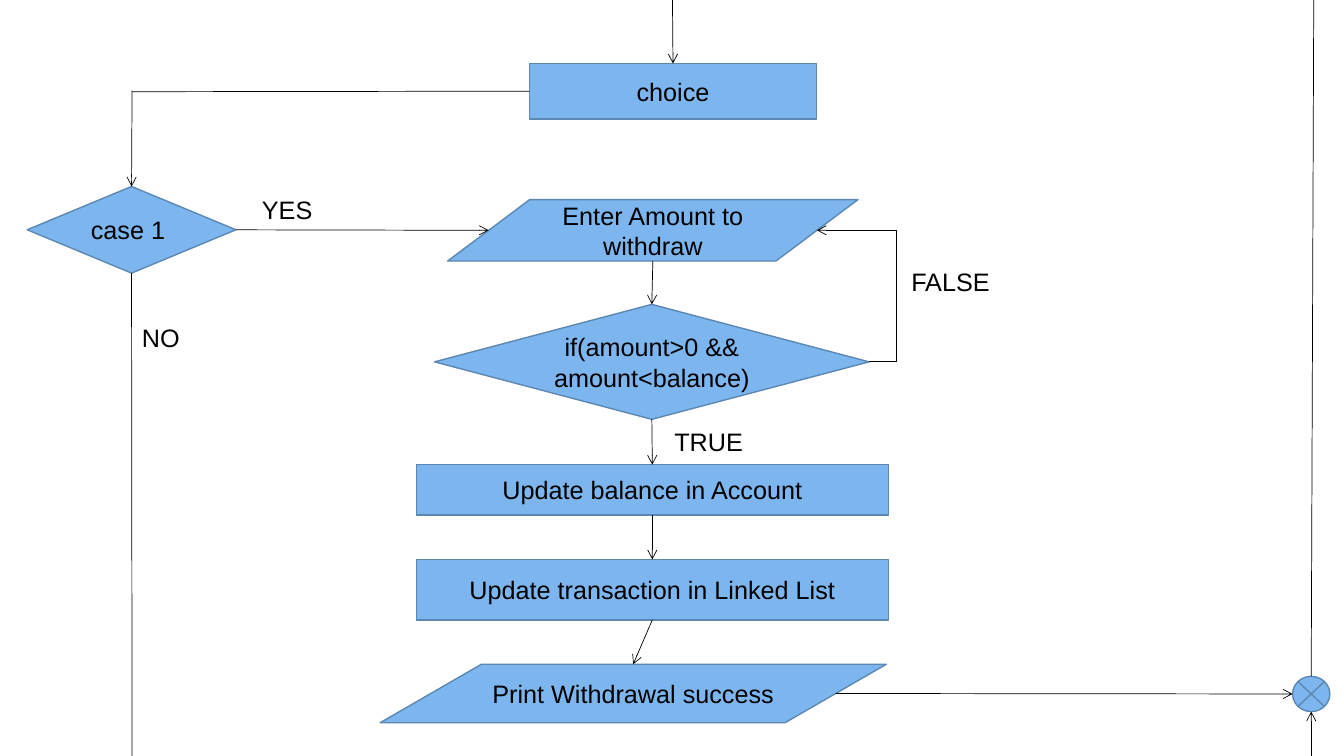
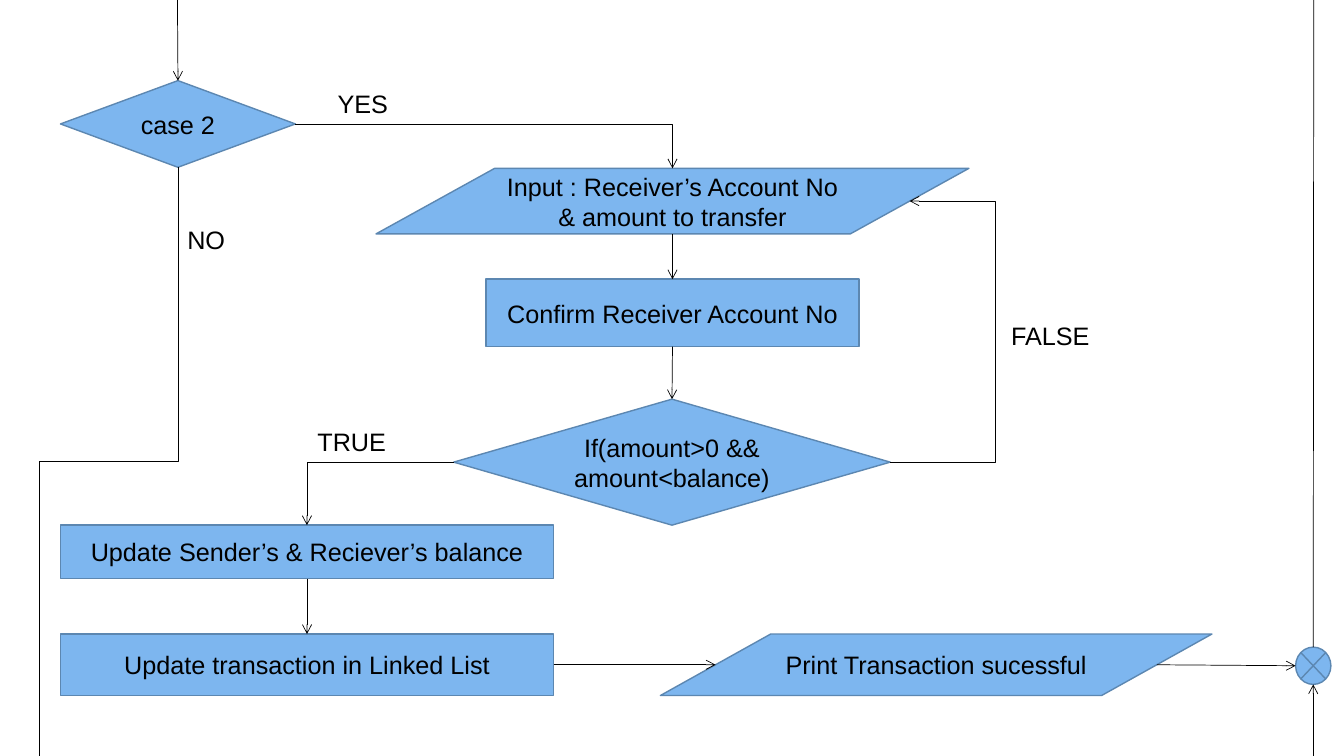
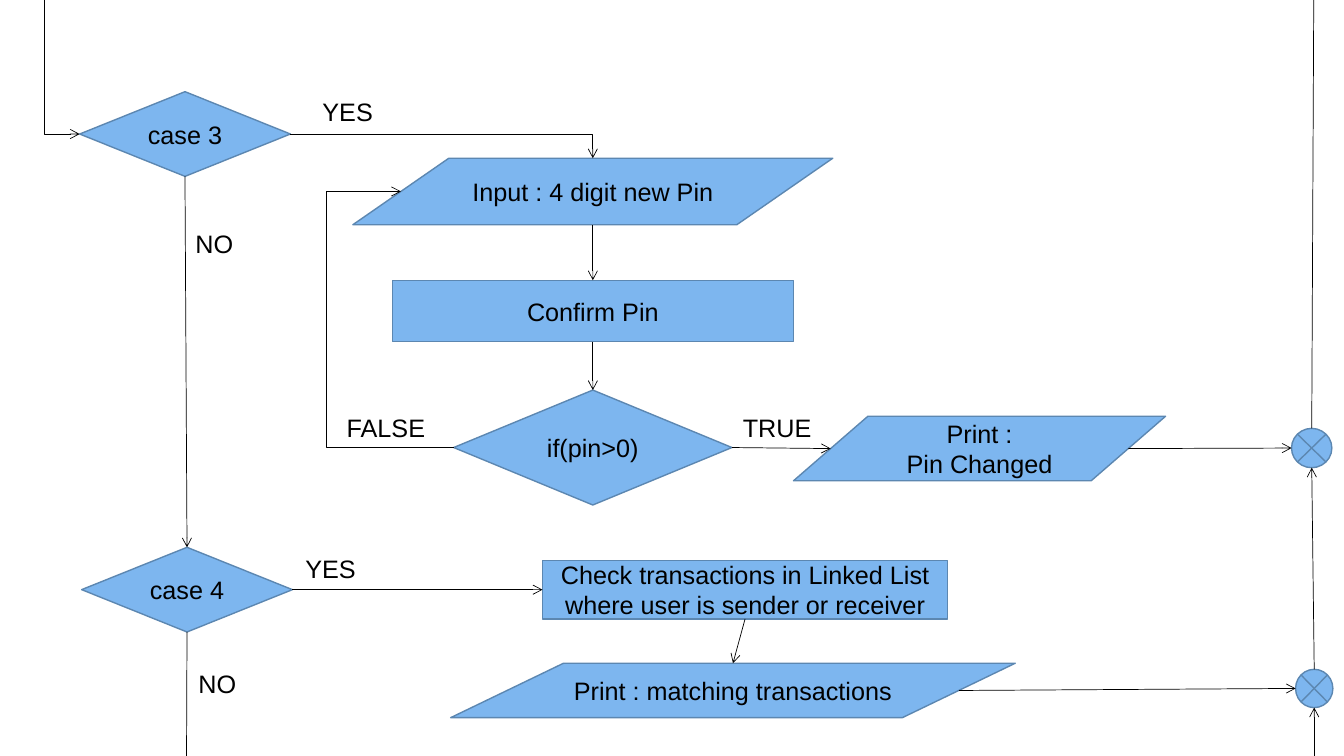
from lxml import etree
from pptx import Presentation
from pptx.dml import color
from pptx.enum import shapes, text
from pptx.oxml import ns
from pptx.util import Inches, Pt

BLUE = color.RGBColor(0x7D, 0xB6, 0xEF)
EDGE = color.RGBColor(0x5C, 0x87, 0xB1)
BLACK = color.RGBColor(0, 0, 0)
KIND = shapes.MSO_SHAPE
STEP = KIND.RECTANGLE
TEST = KIND.FLOWCHART_DECISION
DATA = KIND.FLOWCHART_DATA
JOIN = KIND.FLOWCHART_SUMMING_JUNCTION
WIDTH, HEIGHT = 13.33, 7.5


class Node:
    def __init__(self, kind, left, top, width, height):
        inset = width / 10 if kind == DATA else 0
        midx, midy = left + width / 2, top + height / 2
        self.top = (midx, top)
        self.low = (midx, top + height)
        self.left = (left + inset, midy)
        self.right = (left + width - inset, midy)


class Chart:
    def __init__(self):
        self.deck = Presentation()
        self.deck.slide_width = Inches(WIDTH)
        self.deck.slide_height = Inches(HEIGHT)
        self.slide = None

    def page(self):
        self.slide = self.deck.slides.add_slide(self.deck.slide_layouts[6])

    def letter(self, frame, words, align):
        frame.text = words
        frame.word_wrap = True
        for para in frame.paragraphs:
            para.alignment = align
            for run in para.runs:
                run.font.name = "Arial"
                run.font.size = Pt(18)
                run.font.color.rgb = BLACK

    def node(self, kind, left, top, width, height, words=""):
        shape = self.slide.shapes.add_shape(
            kind, Inches(left), Inches(top), Inches(width), Inches(height))
        shape.shadow.inherit = False
        shape.fill.solid()
        shape.fill.fore_color.rgb = BLUE
        shape.line.color.rgb = EDGE
        shape.line.width = Pt(1)
        if words:
            shape.text_frame.vertical_anchor = text.MSO_ANCHOR.MIDDLE
            self.letter(shape.text_frame, words, text.PP_ALIGN.CENTER)
        return Node(kind, left, top, width, height)

    def label(self, words, left, top, width=1):
        box = self.slide.shapes.add_textbox(
            Inches(left), Inches(top), Inches(width), Inches(0.4))
        self.letter(box.text_frame, words, text.PP_ALIGN.LEFT)
        box.text_frame.auto_size = text.MSO_AUTO_SIZE.SHAPE_TO_FIT_TEXT

    def line(self, start, end, tip=True, kind=shapes.MSO_CONNECTOR.STRAIGHT):
        link = self.slide.shapes.add_connector(
            kind, *(Inches(n) for n in (*start, *end)))
        link.line.color.rgb = BLACK
        link.line.width = Pt(0.5)
        props = link._element.spPr
        if tip:
            tail = etree.SubElement(props.find(ns.qn("a:ln")), ns.qn("a:tailEnd"))
            tail.set("type", "arrow")
        etree.SubElement(props, ns.qn("a:effectLst"))
        return link

    def bend(self, start, end, via=None, down=False, tip=True):
        gapx, gapy = end[0] - start[0], end[1] - start[1]
        first, span = (start[1], gapy) if down else (start[0], gapx)
        if down:
            midx, midy = start[0] + gapx / 2, start[1] + gapy / 2
            start = (midx - gapy / 2, midy + gapx / 2)
            end = (midx + gapy / 2, midy - gapx / 2)
        link = self.line(start, end, tip, shapes.MSO_CONNECTOR.ELBOW)
        props = link._element.spPr
        if down:
            props.find(ns.qn("a:xfrm")).set("rot", "5400000")
        form = props.find(ns.qn("a:prstGeom"))
        if via is None:
            form.set("prst", "bentConnector2")
            return
        guides = form.find(ns.qn("a:avLst"))
        if guides is None:
            guides = etree.SubElement(form, ns.qn("a:avLst"))
        guide = etree.SubElement(guides, ns.qn("a:gd"))
        guide.set("name", "adj1")
        guide.set("fmla", f"val {round((via - first) / span * 100000)}")

    def chain(self, *nodes):
        for upper, lower in zip(nodes, nodes[1:]):
            self.line(upper.low, lower.top)

    def rail(self, *joins):
        self.line(joins[0].top, (13.03, 0), tip=False)
        for upper, lower in zip(joins, joins[1:]):
            self.line(lower.top, upper.low)
        last = joins[-1].low
        self.line((last[0], HEIGHT), last)


def withdraw(chart):
    chart.page()
    choice = chart.node(STEP, 5.25, 0.63, 2.85, 0.55, "choice")
    case = chart.node(TEST, 0.27, 1.85, 2.07, 0.86, "case 1 ")
    ask = chart.node(DATA, 4.44, 1.98, 4.07, 0.61, "Enter Amount to withdraw")
    check = chart.node(TEST, 4.31, 3.02, 4.31, 1.14, "if(amount>0 && amount<balance)")
    funds = chart.node(STEP, 4.13, 4.61, 4.68, 0.5, "Update balance in Account")
    record = chart.node(STEP, 4.13, 5.55, 4.68, 0.6, "Update transaction in Linked List")
    done = chart.node(DATA, 3.77, 6.59, 5.02, 0.58, "Print Withdrawal success")
    join = chart.node(JOIN, 12.82, 6.71, 0.37, 0.35)
    chart.line((6.67, 0), choice.top)
    chart.line((1.31, 0.91), choice.left, tip=False)
    chart.line((1.31, 0.9), case.top)
    chart.line(case.low, (1.31, HEIGHT), tip=False)
    chart.line(case.right, ask.left)
    chart.chain(ask, check, funds, record, done)
    chart.bend(check.right, ask.right, via=8.89)
    chart.line(done.right, join.left)
    chart.rail(join)
    chart.label("YES", 2.5, 1.88)
    chart.label("NO", 1.31, 3.15)
    chart.label("FALSE", 8.94, 2.59)
    chart.label("TRUE", 6.59, 4.18)


def transfer(chart):
    chart.page()
    case = chart.node(TEST, 0.6, 0.8, 2.33, 0.86, "case 2")
    ask = chart.node(DATA, 3.73, 1.67, 5.88, 0.65,
                     "Input : Receiver’s Account No & amount to transfer")
    confirm = chart.node(STEP, 4.82, 2.77, 3.7, 0.67, "Confirm Receiver Account No")
    check = chart.node(TEST, 4.5, 3.96, 4.33, 1.25, "If(amount>0 && amount<balance)")
    funds = chart.node(STEP, 0.6, 5.21, 4.89, 0.53, "Update Sender’s & Reciever’s balance")
    record = chart.node(STEP, 0.6, 6.29, 4.89, 0.61, "Update transaction in Linked List")
    done = chart.node(DATA, 6.55, 6.29, 5.47, 0.61, "Print Transaction sucessful")
    join = chart.node(JOIN, 12.85, 6.42, 0.35, 0.37)
    chart.line((1.76, 0), case.top)
    chart.bend(case.low, (0.39, HEIGHT), via=4.58, down=True, tip=False)
    chart.bend(case.right, ask.top)
    chart.chain(ask, confirm, check)
    chart.bend(check.right, ask.right, via=9.87)
    chart.bend(check.left, funds.top)
    chart.chain(funds, record)
    chart.line(record.right, done.left)
    chart.line(done.right, join.left)
    chart.rail(join)
    chart.label("YES", 3.25, 0.83)
    chart.label("NO", 1.76, 2.18)
    chart.label("FALSE", 9.93, 3.13, 1.3)
    chart.label("TRUE", 3.05, 4.18)


def manage(chart):
    chart.page()
    pin = chart.node(TEST, 0.79, 0.91, 2.09, 0.84, "case 3")
    ask = chart.node(DATA, 3.5, 1.57, 4.76, 0.66, "Input : 4 digit new Pin")
    confirm = chart.node(STEP, 3.89, 2.78, 3.98, 0.61, "Confirm Pin")
    check = chart.node(TEST, 4.5, 3.87, 2.76, 1.14, "if(pin>0)")
    done = chart.node(DATA, 7.87, 4.13, 3.69, 0.64, "Print :\nPin Changed")
    search = chart.node(TEST, 0.81, 5.43, 2.09, 0.84, "case 4")
    scan = chart.node(STEP, 5.38, 5.56, 4.02, 0.58,
                      "Check transactions in Linked List where user is sender or receiver")
    found = chart.node(DATA, 4.47, 6.58, 5.6, 0.54, "Print : matching transactions")
    upper = chart.node(JOIN, 12.81, 4.25, 0.4, 0.39)
    lower = chart.node(JOIN, 12.85, 6.64, 0.37, 0.38)
    chart.bend((0.44, 0), pin.left, down=True)
    chart.bend(pin.right, ask.top)
    chart.chain(ask, confirm, check)
    chart.bend(check.left, ask.left, via=3.24)
    chart.line(check.right, done.left)
    chart.line(done.right, upper.left)
    chart.chain(pin, search)
    chart.line(search.right, scan.left)
    chart.line(search.low, (1.85, HEIGHT), tip=False)
    chart.chain(scan, found)
    chart.line(found.right, lower.left)
    chart.rail(upper, lower)
    chart.label("YES", 3.1, 0.91)
    chart.label("NO", 1.84, 2.22)
    chart.label("FALSE", 3.34, 4.04, 1.13)
    chart.label("TRUE", 7.27, 4.04)
    chart.label("YES", 2.93, 5.44)
    chart.label("NO", 1.87, 6.58)


def main():
    chart = Chart()
    for draw in (withdraw, transfer, manage):
        draw(chart)
    chart.deck.save("out.pptx")


if __name__ == "__main__":
    main()
